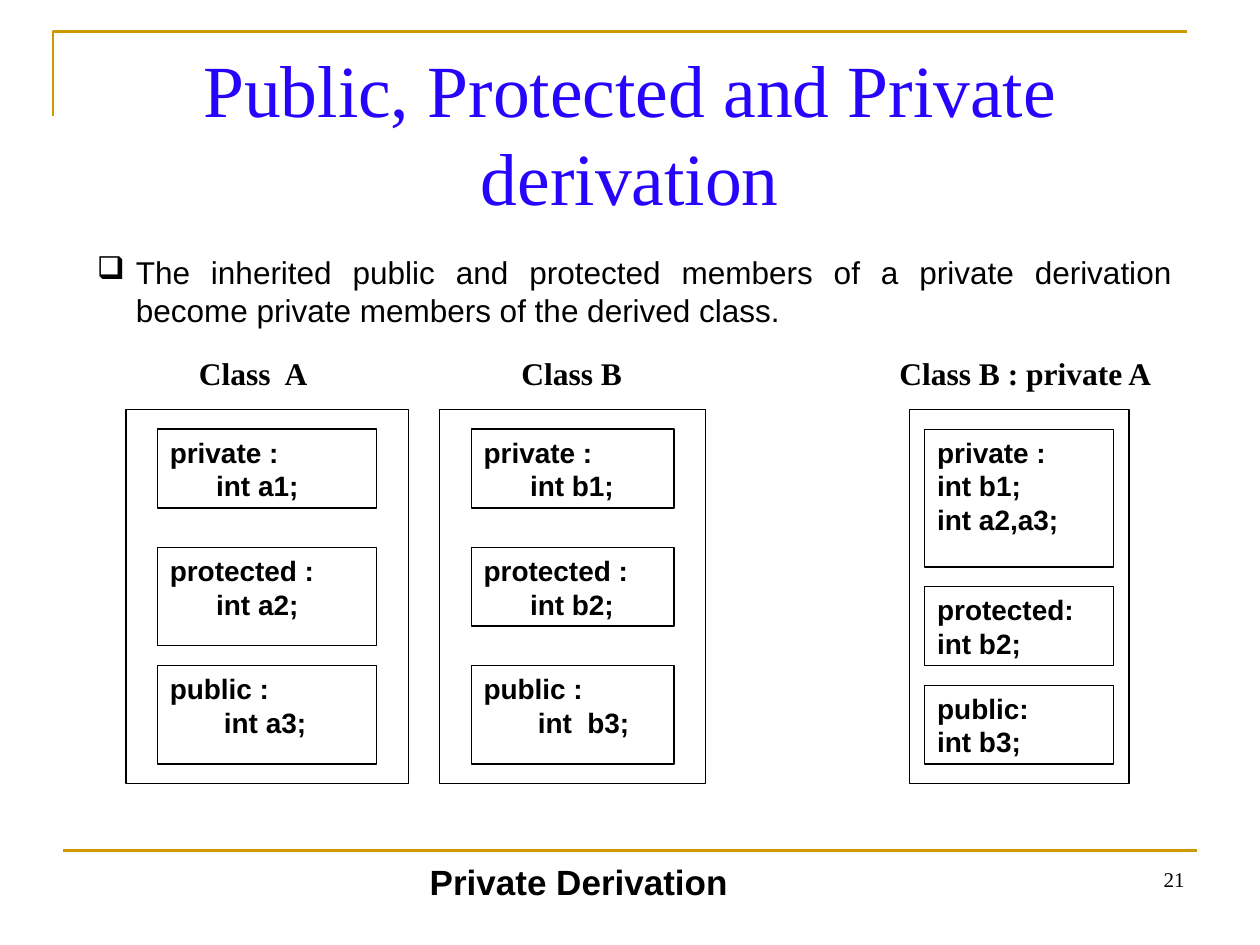
from lxml.etree import SubElement
from pptx import Presentation
from pptx.dml.color import RGBColor
from pptx.enum.shapes import MSO_CONNECTOR as CONNECTOR, MSO_SHAPE as SHAPE
from pptx.enum.text import MSO_ANCHOR as ANCHOR, MSO_AUTO_SIZE as AUTO_SIZE, PP_ALIGN as ALIGN
from pptx.oxml.ns import qn
from pptx.util import Inches, Pt

BLACK = RGBColor(0x00, 0x00, 0x00)
WHITE = RGBColor(0xFF, 0xFF, 0xFF)
GOLD = RGBColor(0xCC, 0x99, 0x00)
BLUE = RGBColor(0x27, 0x04, 0xFC)
SERIF, SANS = "Times New Roman", "Arial"

TOP, HEIGHT, ROWS = 3.25, 2.97, 19
ROW = HEIGHT / ROWS


def style(shape, font, size, bold=False, color=BLACK, align=ALIGN.LEFT, anchor=ANCHOR.TOP):
    frame = shape.text_frame
    frame.word_wrap = True
    frame.auto_size = AUTO_SIZE.NONE
    frame.vertical_anchor = anchor
    for paragraph in frame.paragraphs:
        paragraph.alignment = align
        paragraph.font.name = font
        paragraph.font.size = Pt(size)
        paragraph.font.bold = bold
        paragraph.font.color.rgb = color


def add_box(left, top, width, height, text=""):
    box = slide.shapes.add_shape(SHAPE.RECTANGLE, Inches(left), Inches(top), Inches(width), Inches(height))
    box.shadow.inherit = False
    box.fill.solid()
    box.fill.fore_color.rgb = WHITE
    box.line.color.rgb = BLACK
    box.line.width = Pt(0.75)
    box.text_frame.text = text
    return box


deck = Presentation()
deck.slide_width, deck.slide_height = Inches(10), Inches(7.5)
slide = deck.slides.add_slide(deck.slide_layouts[5])

corner = slide.shapes.build_freeform(Inches(0.42), Inches(0.92))
corner.add_line_segments([(Inches(0.42), Inches(0.25)), (Inches(9.42), Inches(0.25))], close=False)
frame_line = corner.convert_to_shape()
frame_line.shadow.inherit = False
frame_line.fill.background()

footer_line = slide.shapes.add_connector(
    CONNECTOR.STRAIGHT, Inches(0.5), Inches(6.75), Inches(9.5), Inches(6.75))
SubElement(footer_line._element.spPr, qn("a:effectLst"))
for rule in (frame_line, footer_line):
    rule.line.color.rgb = GOLD
    rule.line.width = Pt(1.5)

title = slide.shapes.title
title.left, title.top, title.width, title.height = Inches(0.5), Inches(0.3), Inches(9), Inches(1.25)
title.text_frame.text = "Public, Protected and Private derivation"
style(title, SERIF, 42, color=BLUE, align=ALIGN.CENTER)

page_number = slide.shapes.add_textbox(Inches(7.17), Inches(6.83), Inches(2.33), Inches(0.52))
page_number.text_frame.text = "21"
style(page_number, SERIF, 12, align=ALIGN.RIGHT)

classes = [
    (1, 2.24, 0.25, [(1, 4, "private :\n      int a1;"),
                     (7, 5, "protected :\n      int a2;"),
                     (13, 5, "public :\n       int a3;")]),
    (3.49, 2.11, 0.25, [(1, 4, "private :\n      int b1;"),
                        (7, 4, "protected :\n      int b2;"),
                        (13, 5, "public :\n       int  b3;")]),
    (7.22, 1.74, 0.12, [(1, 7, "private :\nint b1;\nint a2,a3;"),
                        (9, 4, "protected:\nint b2;"),
                        (14, 4, "public:\nint b3;")]),
]
for left, width, margin, sections in classes:
    add_box(left, TOP, width, HEIGHT)
    for row, span, members in sections:
        section = add_box(left + margin, TOP + row * ROW, width - 2 * margin, span * ROW, members)
        style(section, SANS, 16, bold=True)

caption = add_box(3.24, 6.78, 4.48, 0.47, "Private Derivation")
caption.line.fill.background()
caption.text_frame.margin_left = Inches(0.17)
style(caption, SANS, 20, bold=True)

headings = slide.shapes.add_textbox(0, Inches(2.76), deck.slide_width, Inches(0.4))
headings.text_frame.text = "\tClass  A\tClass B\tClass B : private A"
tab_list = SubElement(headings.text_frame.paragraphs[0]._p.get_or_add_pPr(), qn("a:tabLst"))
for stop in (1.48, 4.04, 7.04):
    SubElement(tab_list, qn("a:tab"), pos=str(Inches(stop)), algn="l")
style(headings, SERIF, 18, bold=True, anchor=ANCHOR.MIDDLE)

statement = slide.shapes.add_textbox(Inches(0.67), Inches(1.96), Inches(8.73), Inches(0.7))
statement.text_frame.text = ("The inherited public and protected members of a private derivation "
                             "become private members of the derived class.")
bullet = statement.text_frame.paragraphs[0]._p.get_or_add_pPr()
bullet.set("marL", str(Inches(0.31)))
bullet.set("indent", str(-Inches(0.31)))
SubElement(SubElement(bullet, qn("a:buClr")), qn("a:srgbClr"), val=str(BLACK))
SubElement(bullet, qn("a:buChar"), char="❑")
style(statement, SANS, 18, align=ALIGN.JUSTIFY)

deck.save("out.pptx")
